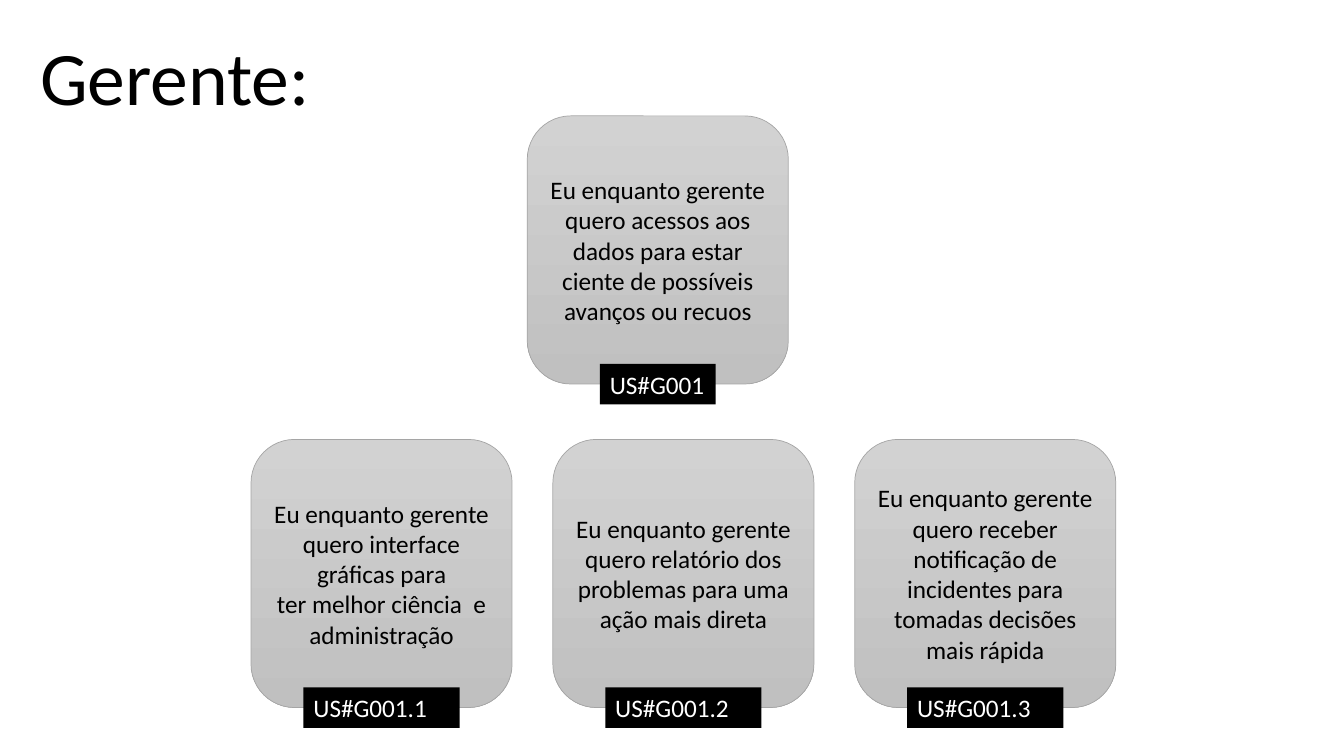
from dataclasses import dataclass

from pptx import Presentation
from pptx.dml.color import RGBColor
from pptx.enum.shapes import MSO_SHAPE
from pptx.enum.text import MSO_ANCHOR, MSO_AUTO_SIZE, PP_ALIGN
from pptx.util import Pt

ROUNDED, RECTANGLE = MSO_SHAPE.ROUNDED_RECTANGLE, MSO_SHAPE.RECTANGLE
LEFT, CENTER = PP_ALIGN.LEFT, PP_ALIGN.CENTER
TOP, MIDDLE = MSO_ANCHOR.TOP, MSO_ANCHOR.MIDDLE
NO_AUTOFIT = MSO_AUTO_SIZE.NONE
TITLE_ONLY = 5


@dataclass(frozen=True)
class Theme:
    font: str = "Calibri"
    title_size: int = 54
    body_size: int = 18
    ink: RGBColor = RGBColor(0x00, 0x00, 0x00)
    paper: RGBColor = RGBColor(0xFF, 0xFF, 0xFF)
    card_top: RGBColor = RGBColor(0xD2, 0xD2, 0xD2)
    card_bottom: RGBColor = RGBColor(0xC0, 0xC0, 0xC0)
    card_line: RGBColor = RGBColor(0xA5, 0xA5, 0xA5)


THEME = Theme()

# Measures in points
CARD_WIDTH, CARD_HEIGHT = 186.5, 191.5
CARD_STEP = 215.6
TAG_HEIGHT, TAG_OFFSET = 29, 177.1

MAIN_STORY = ("US#G001", ["Eu enquanto gerente quero acessos aos dados para estar "
                          "ciente de possíveis avanços ou recuos"])
DETAIL_STORIES = [
    ("US#G001.1", ["Eu enquanto gerente quero interface gráficas para",
                   "ter melhor ciência  e administração"]),
    ("US#G001.2", ["Eu enquanto gerente quero relatório dos problemas para uma "
                   "ação mais direta"]),
    ("US#G001.3", ["Eu enquanto gerente quero receber notificação de incidentes "
                   "para tomadas decisões mais rápida"]),
]


def write_text(shape, lines, size, color, alignment, anchor):
    frame = shape.text_frame
    frame.text = "\n".join(lines)
    frame.word_wrap = True
    frame.auto_size = NO_AUTOFIT
    frame.vertical_anchor = anchor
    for paragraph in frame.paragraphs:
        paragraph.alignment = alignment
        paragraph.font.name = THEME.font
        paragraph.font.size = Pt(size)
        paragraph.font.color.rgb = color


def add_title(slide, text, left, top, width, height):
    title = slide.shapes.title
    title.left, title.top = Pt(left), Pt(top)
    title.width, title.height = Pt(width), Pt(height)
    write_text(title, [text], THEME.title_size, THEME.ink, LEFT, TOP)


def add_story(slide, story, left, top, tag_width):
    code, lines = story

    # Card with the story
    card = slide.shapes.add_shape(
        ROUNDED, Pt(left), Pt(top), Pt(CARD_WIDTH), Pt(CARD_HEIGHT))
    card.shadow.inherit = False
    card.fill.gradient()
    card.fill.gradient_angle = 270
    for stop, color in zip(card.fill.gradient_stops,
                           (THEME.card_top, THEME.card_bottom)):
        stop.color.rgb = color
    card.line.color.rgb = THEME.card_line
    card.line.width = Pt(0.5)
    write_text(card, lines, THEME.body_size, THEME.ink, CENTER, MIDDLE)

    # Code tag centred on the lower edge
    tag = slide.shapes.add_shape(
        RECTANGLE, Pt(left + (CARD_WIDTH - tag_width) / 2), Pt(top + TAG_OFFSET),
        Pt(tag_width), Pt(TAG_HEIGHT))
    tag.shadow.inherit = False
    tag.fill.solid()
    tag.fill.fore_color.rgb = THEME.ink
    tag.line.fill.background()
    write_text(tag, [code], THEME.body_size, THEME.paper, LEFT, TOP)


def add_story_row(slide, stories, left, top, tag_width):
    for index, story in enumerate(stories):
        add_story(slide, story, left + index * CARD_STEP, top, tag_width)


def main():
    presentation = Presentation()
    presentation.slide_width, presentation.slide_height = Pt(960), Pt(540)
    slide = presentation.slides.add_slide(presentation.slide_layouts[TITLE_ONLY])

    add_title(slide, "Gerente:", 21.6, 18, 250.6, 72.7)
    add_story_row(slide, [MAIN_STORY], 376.6, 82.8, 82.8)
    add_story_row(slide, DETAIL_STORIES, 179.3, 313.9, 111.6)

    presentation.save("out.pptx")


if __name__ == "__main__":
    main()
